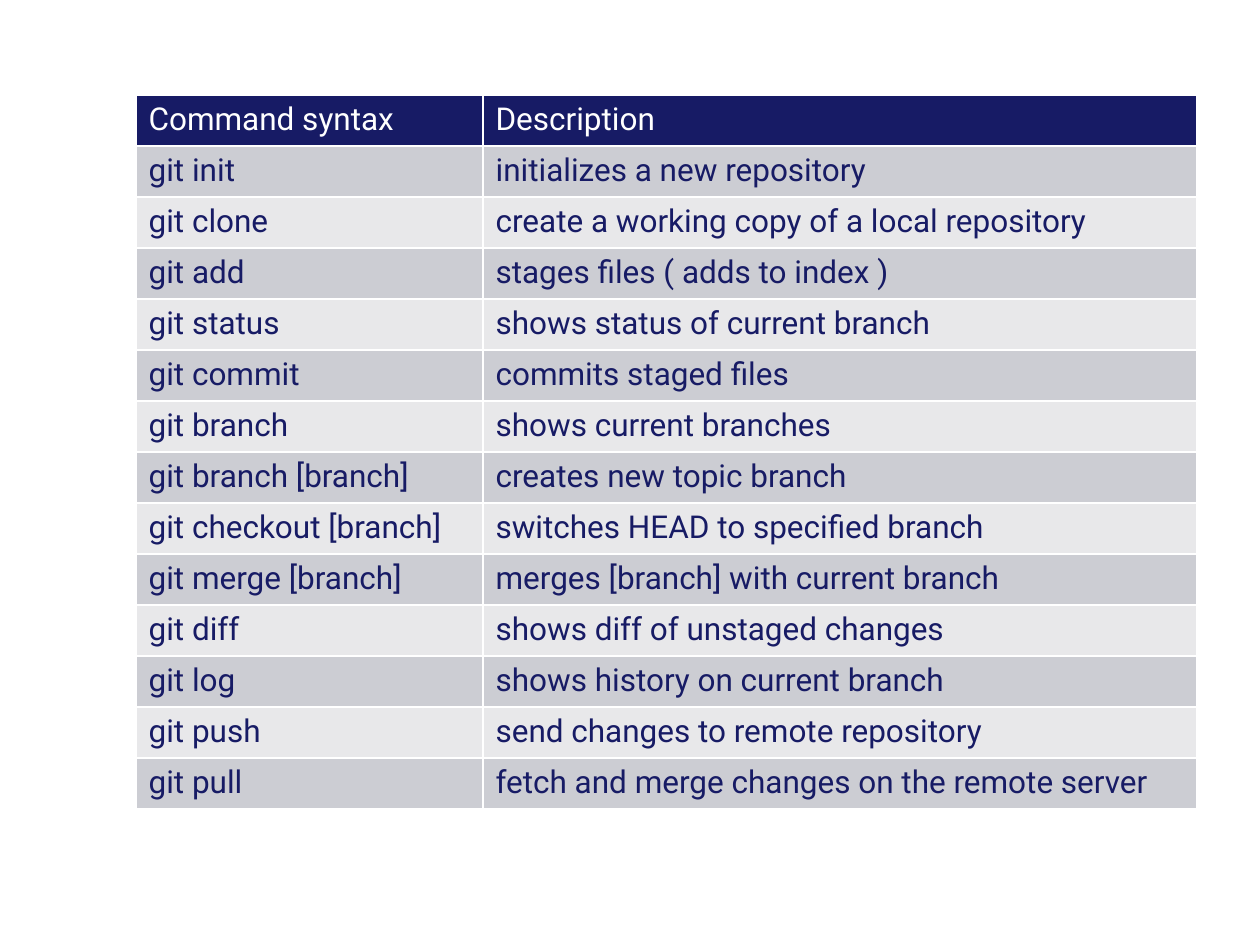
from lxml import etree
from pptx import Presentation
from pptx import util as u
from pptx.dml.color import RGBColor
from pptx.oxml.ns import qn

HEADER = ("Command syntax", "Description")
COMMANDS = [
    ("git init", "initializes a new repository"),
    ("git clone", "create a working copy of a local repository"),
    ("git add", "stages files ( adds to index )"),
    ("git status", "shows status of current branch"),
    ("git commit", "commits staged files"),
    ("git branch", "shows current branches"),
    ("git branch [branch]", "creates new topic branch"),
    ("git checkout [branch]", "switches HEAD to specified branch"),
    ("git merge [branch]", "merges [branch] with current branch"),
    ("git diff", "shows diff of unstaged changes"),
    ("git log", "shows history on current branch"),
    ("git push", "send changes to remote repository"),
    ("git pull", "fetch and merge changes on the remote server"),
]
COLORS = {"navy": "171B65", "white": "FFFFFF", "dark": "CCCDD3", "light": "E8E8EA"}

# Layout in px, 126 px to the inch
LEFT, TOP, ROW_H = 136, 95, 51
COL_W = (347, 714)


def px(n):
    return u.Emu(round(n * 914400 / 126))


def rgb(name):
    return RGBColor.from_string(COLORS[name])


def put_text(tf, text, size=18, color="navy", font="Roboto"):
    r = tf.paragraphs[0].add_run()
    r.text = text
    r.font.size = u.Pt(size)
    r.font.name = font
    r.font.bold = False
    r.font.color.rgb = rgb(color)


def add_borders(cell, color="white", width=1):
    tc_pr = cell._tc.get_or_add_tcPr()
    for i, side in enumerate(("lnL", "lnR", "lnT", "lnB")):
        ln = etree.Element(qn(f"a:{side}"), w=str(u.Pt(width)))
        fill = etree.SubElement(ln, qn("a:solidFill"))
        etree.SubElement(fill, qn("a:srgbClr"), val=COLORS[color])
        tc_pr.insert(i, ln)


prs = Presentation()
prs.slide_width, prs.slide_height = px(1260), px(945)
s = prs.slides.add_slide(prs.slide_layouts[6])

# Command table
rows = [HEADER] + COMMANDS
table = s.shapes.add_table(len(rows), len(COL_W), px(LEFT), px(TOP),
                           px(sum(COL_W)), px(ROW_H * len(rows))).table
table.horz_banding = False
for col, width in zip(table.columns, COL_W):
    col.width = px(width)

# Header row, then alternating bands
for i, row in enumerate(rows):
    table.rows[i].height = px(ROW_H)
    fill = "navy" if i == 0 else "dark" if i % 2 else "light"
    for j, text in enumerate(row):
        cell = table.cell(i, j)
        cell.fill.solid()
        cell.fill.fore_color.rgb = rgb(fill)
        add_borders(cell)
        put_text(cell.text_frame, text, color="white" if i == 0 else "navy")

prs.save("out.pptx")
